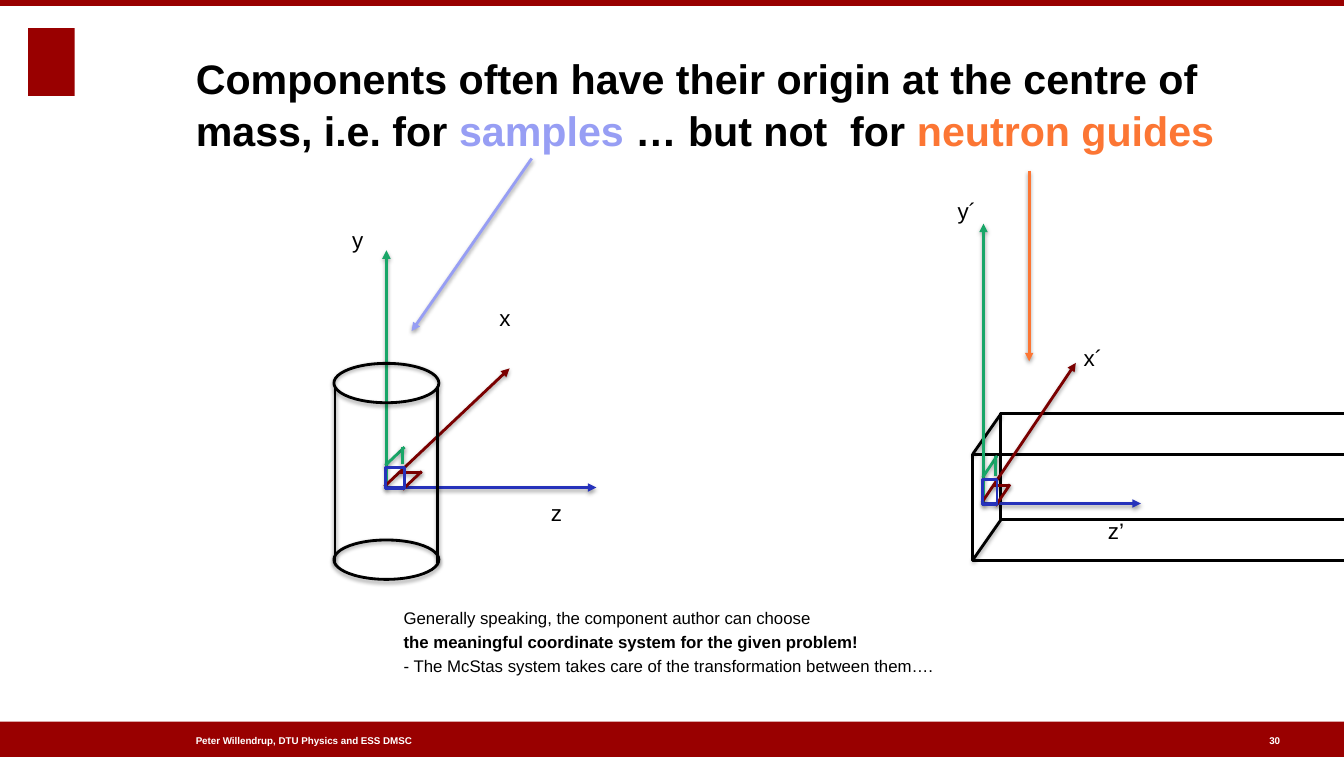
from lxml import etree
from pptx import Presentation
from pptx.dml.color import RGBColor
from pptx.enum import shapes, text
from pptx.oxml.ns import qn
from pptx.util import Pt

PX = 9144  # 100 px to the inch
WIDTH, HEIGHT = 1332, 750
BRAND, BLACK, WHITE = "990000", "000000", "FFFFFF"
GREEN, BLUE, DARK_RED = "19A668", "2632BB", "7A0000"
LILAC, ORANGE = "979EF4", "FC7634"
RECT, OVAL = shapes.MSO_SHAPE.RECTANGLE, shapes.MSO_SHAPE.OVAL

# Content: a paragraph is a list of (text, colour, bold) runs
TITLE = [[("Components often have their origin at the centre of mass, i.e. for ", BLACK, True),
          ("samples", LILAC, True),
          (" … but not  for ", BLACK, True),
          ("neutron guides", ORANGE, True)]]
NOTE = [[("Generally speaking, the component author can choose", BLACK, False)],
        [("the meaningful coordinate system for the given problem!", BLACK, True)],
        [("- The McStas system takes care of the transformation between them….", BLACK, False)]]
AUTHOR = [[("Peter Willendrup, DTU Physics and ESS DMSC", WHITE, True)]]
NUMBER = [[("30", WHITE, True)]]
AXIS_LABELS = [  # text, left, top, width, height
    ("x´", 1074, 340, 25, 44), ("y´", 949, 194, 25, 44), ("z’", 1098, 511, 22, 44),
    ("x", 495, 300, 23, 38), ("y", 349, 223, 23, 38), ("z", 546, 493, 23, 38)]

# Coordinate frame relative to its origin: start, end, colour, arrow
FRAME_LINES = [
    ((1, 1), (1, -236), GREEN, True),
    ((1, -1), (209, -1), BLUE, True),
    ((-1, -2), (123, -119), DARK_RED, True),
    ((13, -16), (36, -16), DARK_RED, False),
    ((17, 1), (36, -17), DARK_RED, False),
    ((0, -23), (19, -41), GREEN, False),
    ((17, -24), (17, -41), GREEN, False)]
FRAME_SQUARE = (19, 21)
GUIDE_FRAME = ((974, 500), (0.75, 1.18))  # origin, scale
SAMPLE_FRAME = ((382, 484), (1, 1))
GUIDE_SIZE = (784, 105)
GUIDE_BACK, GUIDE_FRONT = (992, 410), (964, 450)
CYLINDER_LEFT, CYLINDER_TOP, CYLINDER_BOTTOM = 331, 360, 535
CYLINDER_CAP = (104, 39)
POINTERS = [((527, 157), (408, 328), LILAC), ((1020, 169), (1020, 358), ORANGE)]

presentation = Presentation()
presentation.slide_width, presentation.slide_height = WIDTH * PX, HEIGHT * PX
slide = presentation.slides.add_slide(presentation.slide_layouts[6])


def rgb(value):
    return RGBColor.from_string(value)


def emu(*lengths):
    return [round(length * PX) for length in lengths]


def add_shadow(effects):
    shadow = etree.SubElement(effects, qn("a:outerShdw"), blurRad="38100", dist="20320",
                              dir="5400000", rotWithShape="0")
    colour = etree.SubElement(shadow, qn("a:srgbClr"), val=BLACK)
    etree.SubElement(colour, qn("a:alpha"), val="38000")


def add_shape(kind, left, top, width, height, fill=None, line=None, shadow=False):
    shape = slide.shapes.add_shape(kind, *emu(left, top, width, height))
    shape.shadow.inherit = False
    if fill:
        shape.fill.solid()
        shape.fill.fore_color.rgb = rgb(fill)
    else:
        shape.fill.background()
    if line:
        shape.line.color.rgb = rgb(line)
        shape.line.width = Pt(2)
    else:
        shape.line.fill.background()
    if shadow:
        add_shadow(shape._element.spPr.find(qn("a:effectLst")))


def add_line(start, end, colour, arrow=False):
    line = slide.shapes.add_connector(shapes.MSO_CONNECTOR.STRAIGHT, *emu(*start, *end))
    line.line.color.rgb = rgb(colour)
    line.line.width = Pt(2)
    properties = line._element.spPr
    if arrow:
        etree.SubElement(properties.find(qn("a:ln")), qn("a:tailEnd"), type="triangle")
    add_shadow(etree.SubElement(properties, qn("a:effectLst")))


def add_text(paragraphs, size, left, top, width, height,
             anchor=text.MSO_ANCHOR.TOP, wrap=True):
    frame = slide.shapes.add_textbox(*emu(left, top, width, height)).text_frame
    frame.margin_left = frame.margin_top = frame.margin_right = frame.margin_bottom = 0
    frame.word_wrap = wrap
    frame.vertical_anchor = anchor
    for index, runs in enumerate(paragraphs):
        paragraph = frame.add_paragraph() if index else frame.paragraphs[0]
        paragraph.line_spacing = 1.05
        if index:
            paragraph.space_before = Pt(2)
        paragraph.font.name, paragraph.font.size = "Arial", Pt(size)
        paragraph.font.bold = runs[0][2]
        for words, colour, _ in runs:
            run = paragraph.add_run()
            run.text = words
            run.font.color.rgb = rgb(colour)


def add_frame(origin, scale):
    def place(point):
        return [o + s * p for o, s, p in zip(origin, scale, point)]

    for start, end, colour, arrow in FRAME_LINES:
        add_line(place(start), place(end), colour, arrow)
    width, height = (s * side for s, side in zip(scale, FRAME_SQUARE))
    add_shape(RECT, origin[0], origin[1] - height, width, height, line=BLUE)


# Bands, emblem and footer
add_shape(RECT, 28, 28, 46, 67, fill=BRAND)
add_shape(RECT, 0, 715, WIDTH, 35, fill=BRAND)
add_shape(RECT, 0, 0, WIDTH, 6, fill=BRAND)
add_text(AUTHOR, 7, 194, 726, 372, 14, text.MSO_ANCHOR.MIDDLE)
add_text(NUMBER, 7, 1258, 726, 14, 14, text.MSO_ANCHOR.MIDDLE, wrap=False)

# Title
add_text(TITLE, 29.4, 194, 47, 1018, 106, text.MSO_ANCHOR.BOTTOM)

# Neutron guide
add_shape(RECT, *GUIDE_BACK, *GUIDE_SIZE, fill=WHITE, line=BLACK)
add_shape(RECT, *GUIDE_FRONT, *GUIDE_SIZE, line=BLACK)
for drop in (0, GUIDE_SIZE[1]):
    add_line((GUIDE_FRONT[0], GUIDE_FRONT[1] + drop),
             (GUIDE_BACK[0], GUIDE_BACK[1] + drop), BLACK)
add_frame(*GUIDE_FRAME)

# Cylindrical sample
add_shape(OVAL, CYLINDER_LEFT, CYLINDER_BOTTOM, *CYLINDER_CAP, line=BLACK, shadow=True)
add_frame(*SAMPLE_FRAME)
add_shape(OVAL, CYLINDER_LEFT, CYLINDER_TOP, *CYLINDER_CAP, line=BLACK, shadow=True)
for side in (CYLINDER_LEFT + 1, CYLINDER_LEFT + CYLINDER_CAP[0] - 1):
    add_line((side, CYLINDER_BOTTOM + 23), (side, CYLINDER_TOP + 24), BLACK)

# Axis labels, pointers and closing note
for label, *box in AXIS_LABELS:
    add_text([[(label, BLACK, False)]], 16, *box)
for start, end, colour in POINTERS:
    add_line(start, end, colour, arrow=True)
add_text(NOTE, 12, 400, 601, 932, 66)

presentation.save("out.pptx")
